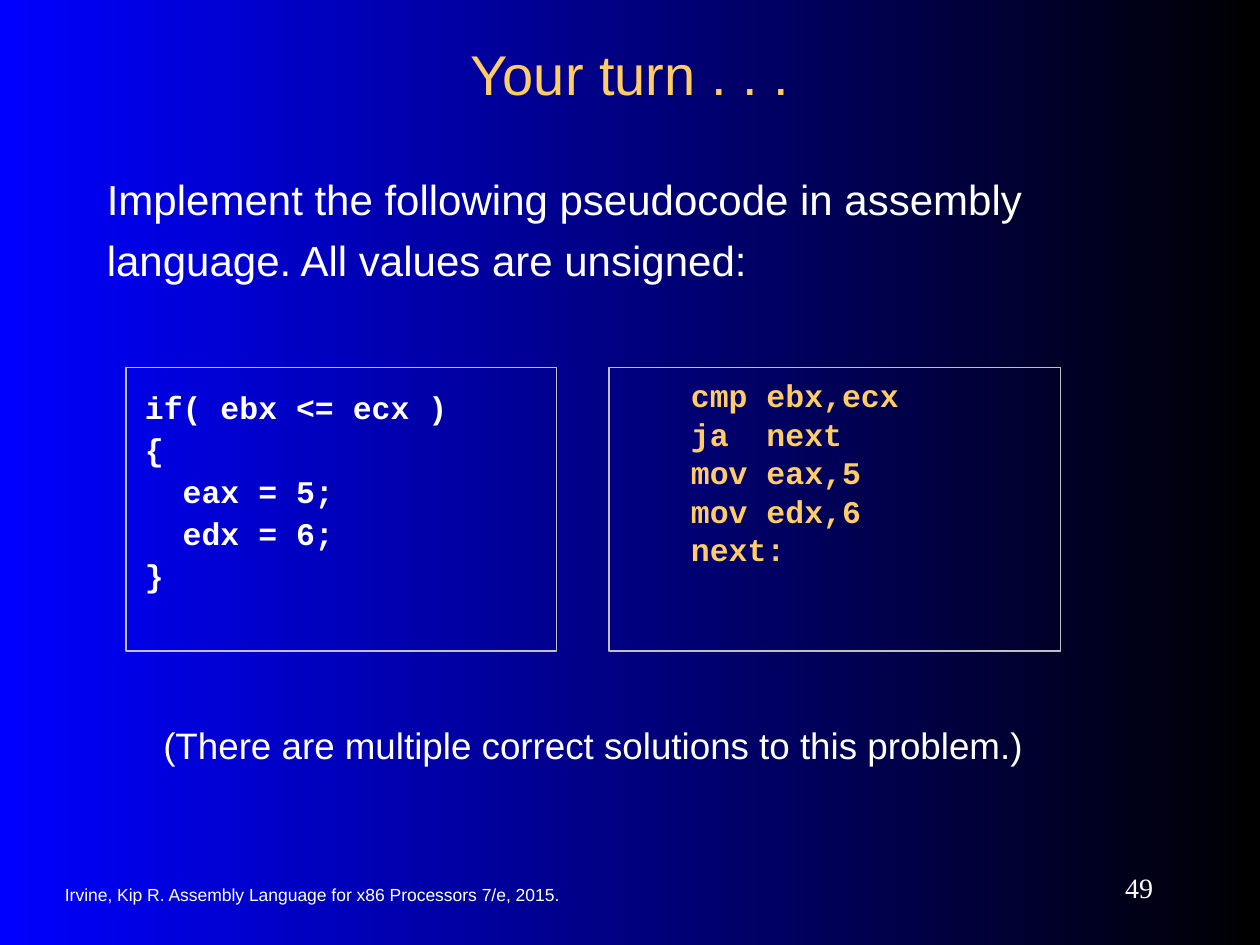
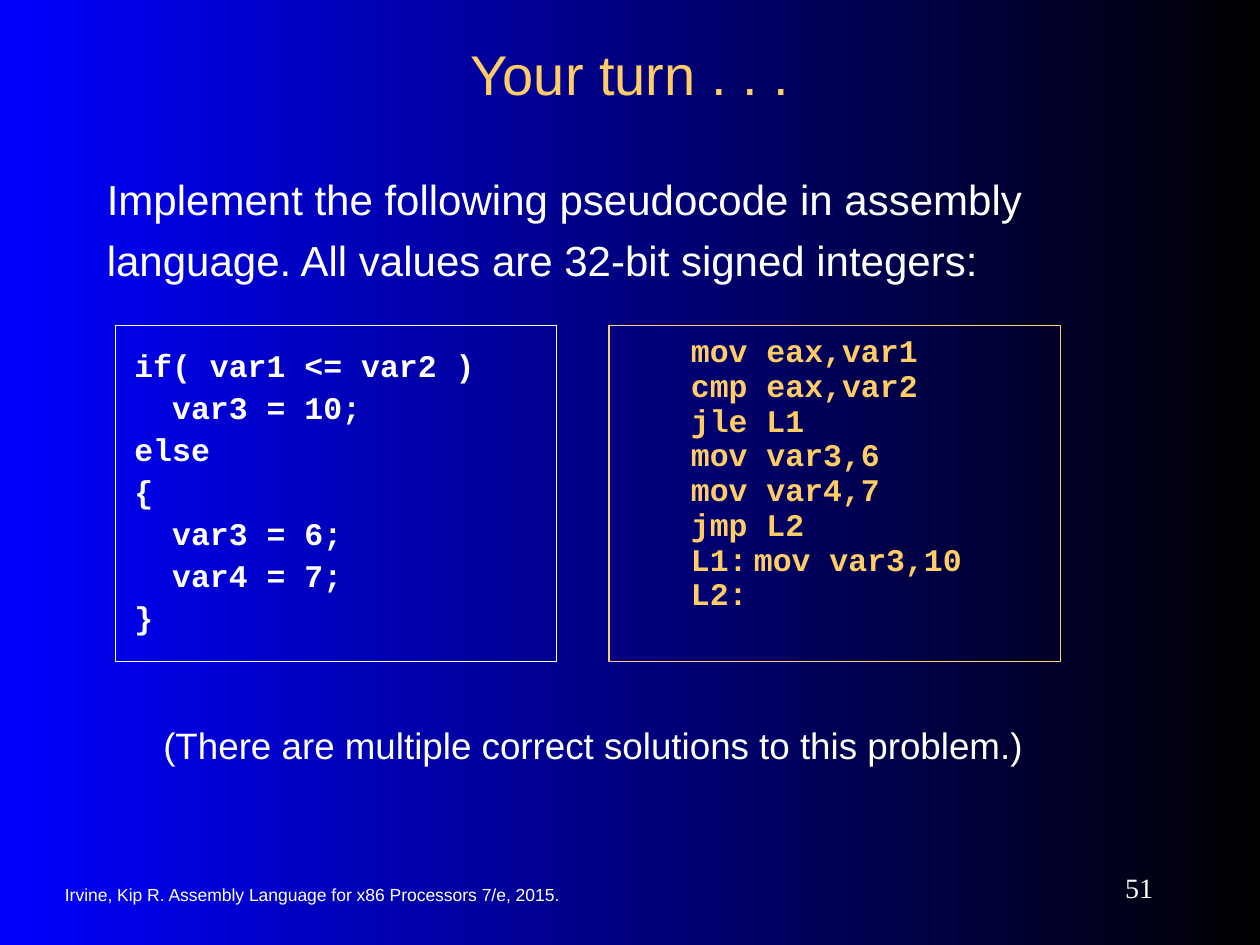
"""Build two assembly-language exercise slides with shared styling."""
from lxml import etree
from pptx import Presentation
from pptx import util as u
from pptx.dml import color
from pptx.enum import shapes, text
from pptx.oxml import ns

Pt = u.Pt
COLORS = {"blue": "0000FF", "black": "000000", "white": "FFFFFF",
          "gold": "FFCC66", "silver": "C0C0C0"}
LEFT, CENTER, RIGHT = text.PP_ALIGN.LEFT, text.PP_ALIGN.CENTER, text.PP_ALIGN.RIGHT
TOP, MIDDLE = text.MSO_ANCHOR.TOP, text.MSO_ANCHOR.MIDDLE

EXERCISES = [
    {"number": "49", "values": "unsigned", "top": 210, "height": 162,
     "pseudocode": ["if( ebx <= ecx )", "{", "  eax = 5;", "  edx = 6;", "}"],
     "pseudocode_left": 72, "pseudocode_border": "silver",
     "solution": ["cmp ebx,ecx", "ja  next", "mov eax,5", "mov edx,6", "next:"],
     "solution_spacing": 0.5, "solution_border": "silver"},
    {"number": "51", "values": "32-bit signed integers", "top": 186, "height": 192,
     "pseudocode": ["if( var1 <= var2 )", "  var3 = 10;", "else", "{",
                    "  var3 = 6;", "  var4 = 7;", "}"],
     "pseudocode_left": 66, "pseudocode_border": "white",
     "solution": ["mov eax,var1", "cmp eax,var2", "jle L1", "mov var3,6",
                  "mov var4,7", "jmp L2", "L1:\tmov var3,10", "L2:"],
     "solution_spacing": 0.4, "solution_border": "gold"},
]


def rgb(name):
    return color.RGBColor.from_string(COLORS[name])


class Deck:
    """Hold the presentation style and the slide being filled."""

    def __init__(self):
        self.prs = Presentation()
        self.prs.slide_width, self.prs.slide_height = Pt(720), Pt(540)
        self.slide = None

    def new_slide(self, number):
        self.slide = self.prs.slides.add_slide(self.prs.slide_layouts[6])
        backdrop = self.slide.background.fill
        backdrop.gradient()
        backdrop.gradient_angle = 0
        for stop, name in zip(backdrop.gradient_stops, ("blue", "black")):
            stop.color.rgb = rgb(name)
        self.label("Irvine, Kip R. Assembly Language for x86 Processors 7/e, 2015.",
                   (30, 499, 372, 24), 10, anchor=MIDDLE)
        self.label(number, (588, 492, 78, 30), 16, font="Times New Roman",
                   align=RIGHT, anchor=MIDDLE)

    def set_text(self, frame, words, size, font, ink, align=LEFT, anchor=TOP,
                 insets=(7.2, 3.6), spacing=None, before=0, bold=False):
        frame.word_wrap = True
        frame.vertical_anchor = anchor
        frame.margin_left, frame.margin_right = Pt(insets[0]), Pt(min(insets[0], 10.8))
        frame.margin_top = frame.margin_bottom = Pt(insets[1])
        frame.text = words
        for paragraph in frame.paragraphs:
            paragraph.alignment = align
            paragraph.space_before = Pt(before)
            if spacing:
                paragraph.line_spacing = spacing
            for run in paragraph.runs:
                run.font.name, run.font.size = font, Pt(size)
                run.font.bold = bold
                run.font.color.rgb = rgb(ink)

    def label(self, words, place, size, font="Arial", ink="white", **style):
        box = self.slide.shapes.add_textbox(*map(Pt, place))
        self.set_text(box.text_frame, words, size, font, ink, **style)

    def title(self, words):
        self.label(words, (54, 18, 612, 48), 32, ink="gold", align=CENTER, anchor=MIDDLE)

    def code_box(self, lines, place, border, ink, inset, spacing, before):
        box = self.slide.shapes.add_shape(shapes.MSO_SHAPE.RECTANGLE, *map(Pt, place))
        box.shadow.inherit = False
        box.fill.background()
        box.line.color.rgb = rgb(border)
        box.line.width = Pt(0.75)
        self.set_text(box.text_frame, "\n".join(lines), 18, "Courier New", ink,
                      insets=(inset, 14.4), spacing=spacing, before=before, bold=True)
        for paragraph in box.text_frame.paragraphs:
            self.tab_stop(paragraph, 36)

    def tab_stop(self, paragraph, position):
        properties = paragraph._p.get_or_add_pPr()
        stops = etree.SubElement(properties, ns.qn("a:tabLst"))
        etree.SubElement(stops, ns.qn("a:tab"), pos=str(Pt(position)), algn="l")


def main():
    deck = Deck()
    for task in EXERCISES:
        deck.new_slide(task["number"])
        deck.title("Your turn . . .")
        deck.label("Implement the following pseudocode in assembly language. "
                   f"All values are {task['values']}:",
                   (54, 90, 612, 96), 24, spacing=1.2, before=6)
        top, height, left = task["top"], task["height"], task["pseudocode_left"]
        deck.code_box(task["solution"], (348, top, 258, height), task["solution_border"],
                      "gold", 46.8, task["solution_spacing"], 11.2)
        deck.code_box(task["pseudocode"], (left, top, 318 - left, height),
                      task["pseudocode_border"], "white", 10.8, 0.9, 4.5)
        deck.label("(There are multiple correct solutions to this problem.)",
                   (54, 402, 570, 47), 21, align=CENTER, insets=(7.2, 10.8), before=13.1)
    deck.prs.save("out.pptx")


if __name__ == "__main__":
    main()
